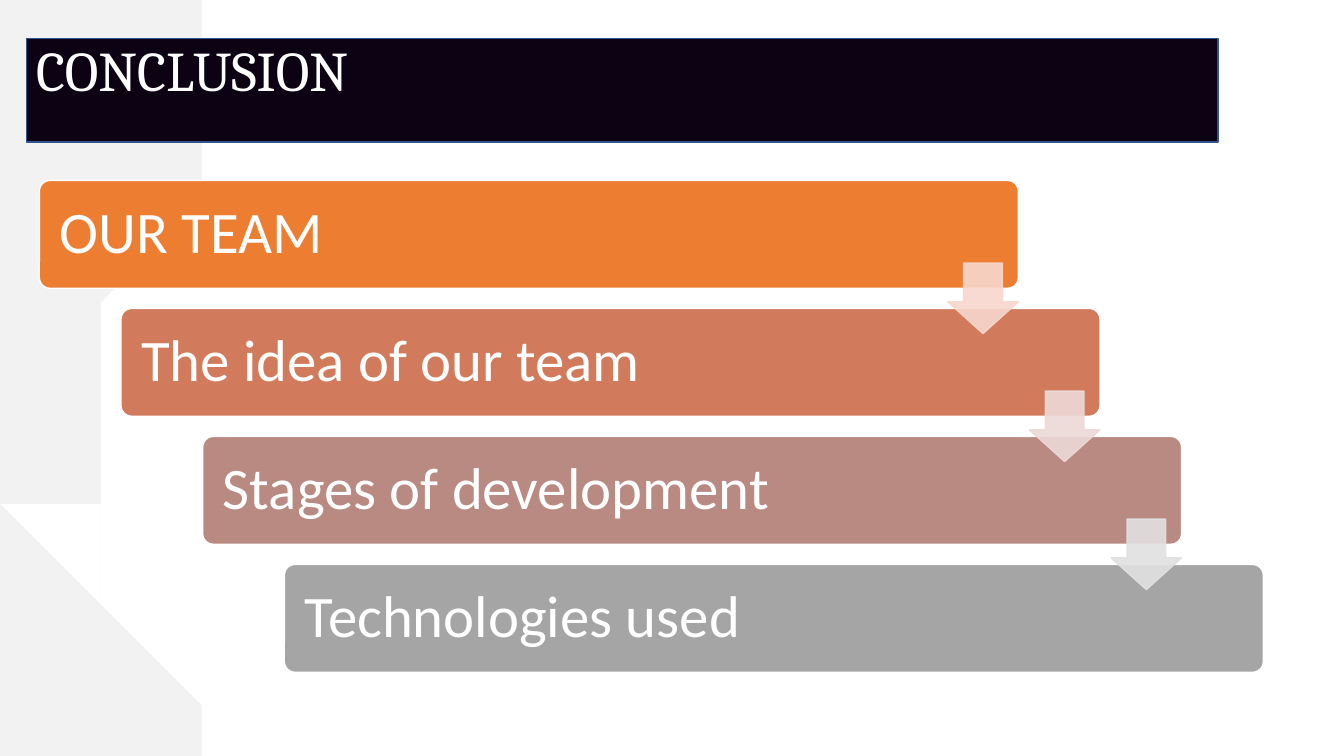
from lxml import etree
from pptx import Presentation
from pptx.dml.color import RGBColor
from pptx.enum.shapes import MSO_SHAPE
from pptx.enum.text import MSO_ANCHOR, PP_ALIGN
from pptx.oxml.ns import qn
from pptx.util import Inches, Pt

COLORS = {
    "brush": "E7E6E6",
    "title_fill": "0D0114",
    "title_line": "325491",
    "white": "FFFFFF",
}

# Label, bar colour and colour of the arrow leading to the next bar
STAGES = [
    ("OUR TEAM", "ED7D31", "F8D7CE"),
    ("The idea of our team", "D17B5C", "EDD9D7"),
    ("Stages of development", "B98A82", "E1E1E1"),
    ("Technologies used", "A5A5A5", None),
]
STEP_X, STEP_Y = 0.81, 1.27

# Ragged right edge of the brush stroke, from top to bottom
BRUSH_EDGE = [
    (1.51, 0), (1.85, 0.12), (1.46, 0.1), (1.74, 0.26), (1.8, 0.41),
    (1.5, 1.45), (1.94, 1.75), (1.1, 2.79), (1, 3.05), (0.82, 3.19),
    (0.55, 3.22), (1.15, 3.64), (0.75, 3.53), (0.69, 3.71), (0.96, 4),
    (0.92, 4.55), (0.74, 4.6), (0.64, 4.83), (0.39, 4.79), (0.73, 5.05),
    (0.37, 5.03), (1.03, 5.64), (0.63, 5.46), (1.15, 5.99), (1.34, 6.31),
    (1.11, 6.29), (1.69, 6.78), (1.09, 6.67), (1.52, 6.96), (2.17, 7.5),
]


def set_opacity(shape, percent):
    for color in shape.element.spPr.iter(qn("a:srgbClr")):
        etree.SubElement(color, qn("a:alpha"), val=str(percent * 1000))


def paint(shape, fill, line=None, opacity=None):
    shape.shadow.inherit = False
    shape.fill.solid()
    shape.fill.fore_color.rgb = RGBColor.from_string(fill)
    if line:
        shape.line.color.rgb = RGBColor.from_string(line)
        shape.line.width = Pt(1)
    else:
        shape.line.fill.background()
    if opacity:
        set_opacity(shape, opacity)


def add_box(page, kind, left, top, width, height, adjustments=(), **colors):
    box = page.shapes.add_shape(
        kind, Inches(left), Inches(top), Inches(width), Inches(height))
    for index, value in enumerate(adjustments):
        box.adjustments[index] = value
    paint(box, **colors)
    return box


def write(box, text, font, size, anchor, margin):
    frame = box.text_frame
    frame.word_wrap = True
    frame.vertical_anchor = anchor
    frame.margin_left = frame.margin_right = Inches(margin)
    para = frame.paragraphs[0]
    para.alignment = PP_ALIGN.LEFT
    para.line_spacing = 0.9
    span = para.add_run()
    span.text = text
    span.font.name = font
    span.font.size = Pt(size)
    span.font.color.rgb = RGBColor.from_string(COLORS["white"])


def add_brush(page):
    builder = page.shapes.build_freeform(0, 0, scale=Inches(1))
    builder.add_line_segments(BRUSH_EDGE + [(0, 7.5)], close=True)
    paint(builder.convert_to_shape(), COLORS["brush"], opacity=50)


def add_title(page):
    title = add_box(page, MSO_SHAPE.RECTANGLE, 0.26, 0.38, 11.82, 1.03,
                    fill=COLORS["title_fill"], line=COLORS["title_line"])
    write(title, "CONCLUSION", "Cambria", 40, MSO_ANCHOR.TOP, 0.1)


def add_staircase(page):
    for index, (label, bar_color, _) in enumerate(STAGES):
        bar = add_box(page, MSO_SHAPE.ROUNDED_RECTANGLE,
                      0.39 + index * STEP_X, 1.79 + index * STEP_Y, 9.71, 1.07,
                      [0.1], fill=bar_color, line=COLORS["white"])
        write(bar, label, "Calibri", 42, MSO_ANCHOR.MIDDLE, 0.17)
    for index, (_, _, arrow_color) in enumerate(STAGES[:-1]):
        add_box(page, MSO_SHAPE.DOWN_ARROW,
                9.4 + index * STEP_X, 2.61 + index * STEP_Y, 0.7, 0.7,
                [0.55, 0.45], fill=arrow_color, line=arrow_color, opacity=90)


def main():
    deck = Presentation()
    deck.slide_width, deck.slide_height = Inches(13.33), Inches(7.5)
    page = deck.slides.add_slide(deck.slide_layouts[6])
    add_brush(page)
    add_title(page)
    add_staircase(page)
    deck.save("out.pptx")


if __name__ == "__main__":
    main()
